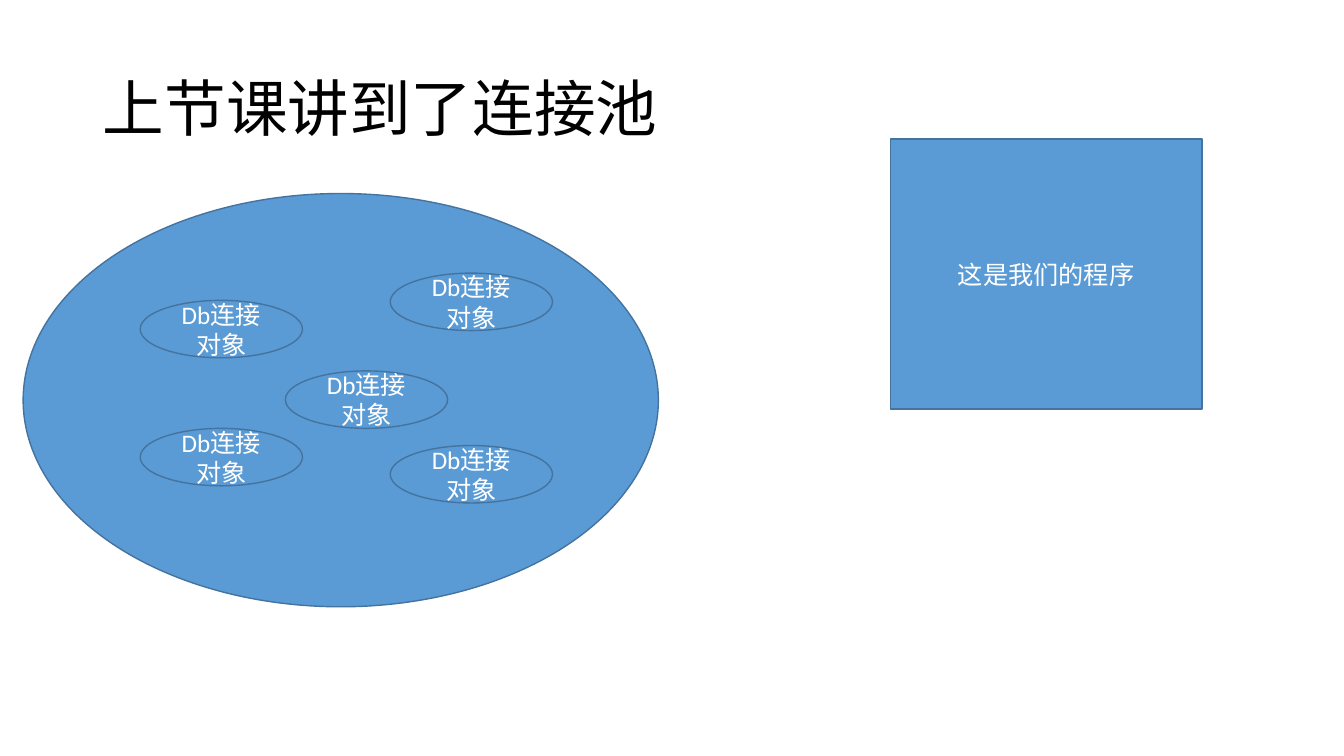
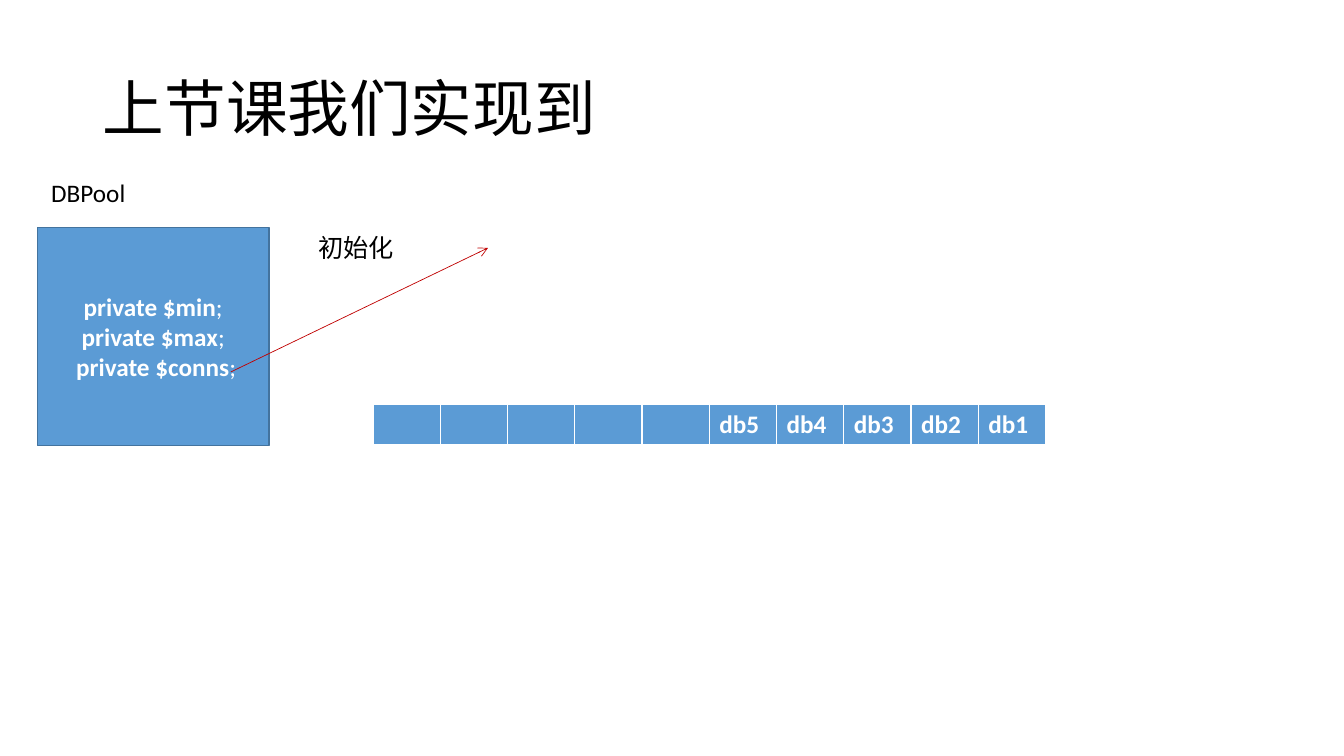
"""Build two slides that review a database connection pool."""
import dataclasses
import typing

import lxml.etree
import pptx
import pptx.dml.color
import pptx.enum.shapes
import pptx.enum.text
import pptx.oxml.ns
import pptx.util

Inches = pptx.util.Inches
Color = pptx.dml.color.RGBColor
Preset = pptx.enum.shapes.MSO_SHAPE
Align = pptx.enum.text.PP_ALIGN
Anchor = pptx.enum.text.MSO_ANCHOR
AutoSize = pptx.enum.text.MSO_AUTO_SIZE
qualified = pptx.oxml.ns.qn


@dataclasses.dataclass(frozen=True)
class Theme:
    """Hold the colours, font and sizes that the slides share."""

    font: str = "Calibri"
    title_size: int = 44
    body_size: int = 18
    outline_width: float = 1
    arrow_width: float = 0.5
    fill: Color = Color(0x5B, 0x9B, 0xD5)
    outline: Color = Color(0x43, 0x73, 0x9E)
    arrow: Color = Color(0xC0, 0x00, 0x00)
    dark: Color = Color(0x00, 0x00, 0x00)
    light: Color = Color(0xFF, 0xFF, 0xFF)


THEME = Theme()


class Box(typing.NamedTuple):
    """Give a place and size in inches."""

    left: float
    top: float
    width: float
    height: float

    def lengths(self) -> list[pptx.util.Length]:
        """Return the four values as lengths."""
        return [Inches(value) for value in self]


class Run(typing.NamedTuple):
    """Describe a piece of text, and whether a line break follows it."""

    text: str
    bold: bool = False
    breaks: bool = False


class Node(typing.NamedTuple):
    """Describe a filled shape with its text."""

    preset: Preset
    box: Box
    runs: tuple[Run, ...] = ()


class Label(typing.NamedTuple):
    """Describe a plain text box."""

    text: str
    box: Box


TITLE_BOX = Box(0.92, 0.38, 11.5, 1.45)
CONNECTION_SIZE = (1.61, 0.57)
CONNECTION_PLACES = ((1.39, 2.98), (3.87, 2.71), (1.39, 4.25), (2.83, 3.68), (3.87, 4.42))
POOL_NODES = (
    Node(Preset.OVAL, Box(0.23, 1.92, 6.3, 4.1)),
    *(
        Node(Preset.OVAL, Box(*place, *CONNECTION_SIZE), (Run("Db连接对象"),))
        for place in CONNECTION_PLACES
    ),
    Node(Preset.RECTANGLE, Box(8.83, 1.38, 3.09, 2.68), (Run("这是我们的程序"),)),
)
CLASS_NODE = Node(
    Preset.RECTANGLE,
    Box(0.37, 2.26, 2.3, 2.16),
    (
        Run("private $min", bold=True),
        Run(";", breaks=True),
        Run("private $max", bold=True),
        Run(";", breaks=True),
        Run(" "),
        Run("private $conns", bold=True),
        Run(";"),
    ),
)
LABELS = (
    Label("DBPool", Box(0.41, 1.71, 2.49, 0.4)),
    Label("初始化", Box(3.06, 2.26, 1.55, 0.4)),
)
ARROW_START = (2.29, 3.69)
ARROW_END = (4.84, 2.46)
QUEUE_BOX = Box(3.7, 4.01, 6.67, 0.41)
QUEUE = ("",) * 5 + tuple(f"db{number}" for number in range(5, 0, -1))
CELL_BORDERS = {"lnL": 1, "lnR": 1, "lnT": 1, "lnB": 3}


def apply(target: typing.Any, values: dict[str, typing.Any]) -> None:
    """Set each named attribute on the target."""
    for name, value in values.items():
        setattr(target, name, value)


def style_font(font: typing.Any, color: Color, size: int, bold: bool = False) -> None:
    """Format a font in the theme typeface."""
    apply(font, {"name": THEME.font, "size": pptx.util.Pt(size), "bold": bold})
    font.color.rgb = color


def add_runs(paragraph: typing.Any, runs: tuple[Run, ...], color: Color, size: int) -> None:
    """Write formatted runs and their line breaks."""
    for item in runs:
        run = paragraph.add_run()
        run.text = item.text
        style_font(run.font, color, size, item.bold)
        if item.breaks:
            paragraph.add_line_break()


def add_titled_slide(presentation: typing.Any, text: str, alignment: Align) -> typing.Any:
    """Add a title-only slide and format its title."""
    slide = presentation.slides.add_slide(presentation.slide_layouts[5])
    title = slide.shapes.title
    apply(title, dict(zip(("left", "top", "width", "height"), TITLE_BOX.lengths())))
    apply(title.text_frame, {
        "word_wrap": True,
        "auto_size": AutoSize.NONE,
        "vertical_anchor": Anchor.MIDDLE,
    })
    paragraph = title.text_frame.paragraphs[0]
    apply(paragraph, {"alignment": alignment, "line_spacing": 0.9})
    add_runs(paragraph, (Run(text),), THEME.dark, THEME.title_size)
    return slide


def add_node(slide: typing.Any, node: Node) -> None:
    """Draw a filled shape with centred text."""
    shape = slide.shapes.add_shape(node.preset, *node.box.lengths())
    shape.shadow.inherit = False
    shape.fill.solid()
    shape.fill.fore_color.rgb = THEME.fill
    shape.line.color.rgb = THEME.outline
    shape.line.width = pptx.util.Pt(THEME.outline_width)
    apply(shape.text_frame, {"word_wrap": True, "vertical_anchor": Anchor.MIDDLE})
    paragraph = shape.text_frame.paragraphs[0]
    paragraph.alignment = Align.CENTER
    add_runs(paragraph, node.runs, THEME.light, THEME.body_size)


def add_label(slide: typing.Any, label: Label) -> None:
    """Draw a text box that grows with its text."""
    frame = slide.shapes.add_textbox(*label.box.lengths()).text_frame
    apply(frame, {"word_wrap": True, "auto_size": AutoSize.SHAPE_TO_FIT_TEXT})
    add_runs(frame.paragraphs[0], (Run(label.text),), THEME.dark, THEME.body_size)


def add_arrow(slide: typing.Any, start: tuple[float, float], end: tuple[float, float]) -> None:
    """Draw a thin straight arrow."""
    connector = slide.shapes.add_connector(
        pptx.enum.shapes.MSO_CONNECTOR.STRAIGHT, *map(Inches, start + end)
    )
    connector.line.color.rgb = THEME.arrow
    connector.line.width = pptx.util.Pt(THEME.arrow_width)
    properties = connector.element.spPr
    outline = properties.find(qualified("a:ln"))
    lxml.etree.SubElement(outline, qualified("a:tailEnd"), type="arrow")
    lxml.etree.SubElement(properties, qualified("a:effectLst"))


def add_borders(cell: typing.Any) -> None:
    """Put light borders ahead of the fill of a cell."""
    properties = cell._tc.get_or_add_tcPr()
    for position, (side, width) in enumerate(CELL_BORDERS.items()):
        border = lxml.etree.Element(qualified(f"a:{side}"), w=str(pptx.util.Pt(width)))
        fill = lxml.etree.SubElement(border, qualified("a:solidFill"))
        lxml.etree.SubElement(fill, qualified("a:srgbClr"), val=str(THEME.light))
        properties.insert(position, border)


def add_queue(slide: typing.Any, entries: tuple[str, ...], box: Box) -> None:
    """Draw the queue as a one-row table of equal cells."""
    table = slide.shapes.add_table(1, len(entries), *box.lengths()).table
    for column, entry in enumerate(entries):
        table.columns[column].width = Inches(box.width / len(entries))
        cell = table.cell(0, column)
        cell.fill.solid()
        cell.fill.fore_color.rgb = THEME.fill
        add_borders(cell)
        paragraph = cell.text_frame.paragraphs[0]
        if entry:
            add_runs(paragraph, (Run(entry, bold=True),), THEME.light, THEME.body_size)


def build_pool_slide(presentation: typing.Any) -> None:
    """Show the pool of connections beside the program."""
    slide = add_titled_slide(presentation, "上节课讲到了连接池", Align.JUSTIFY)
    for node in POOL_NODES:
        add_node(slide, node)


def build_progress_slide(presentation: typing.Any) -> None:
    """Show the pool class and its queue of connections."""
    slide = add_titled_slide(presentation, "上节课我们实现到", Align.LEFT)
    add_node(slide, CLASS_NODE)
    add_arrow(slide, ARROW_START, ARROW_END)
    add_queue(slide, QUEUE, QUEUE_BOX)
    for label in LABELS:
        add_label(slide, label)


def main() -> None:
    """Build and save the presentation."""
    presentation = pptx.Presentation()
    apply(presentation, {"slide_width": Inches(13.33), "slide_height": Inches(7.5)})
    build_pool_slide(presentation)
    build_progress_slide(presentation)
    presentation.save("out.pptx")


main()
